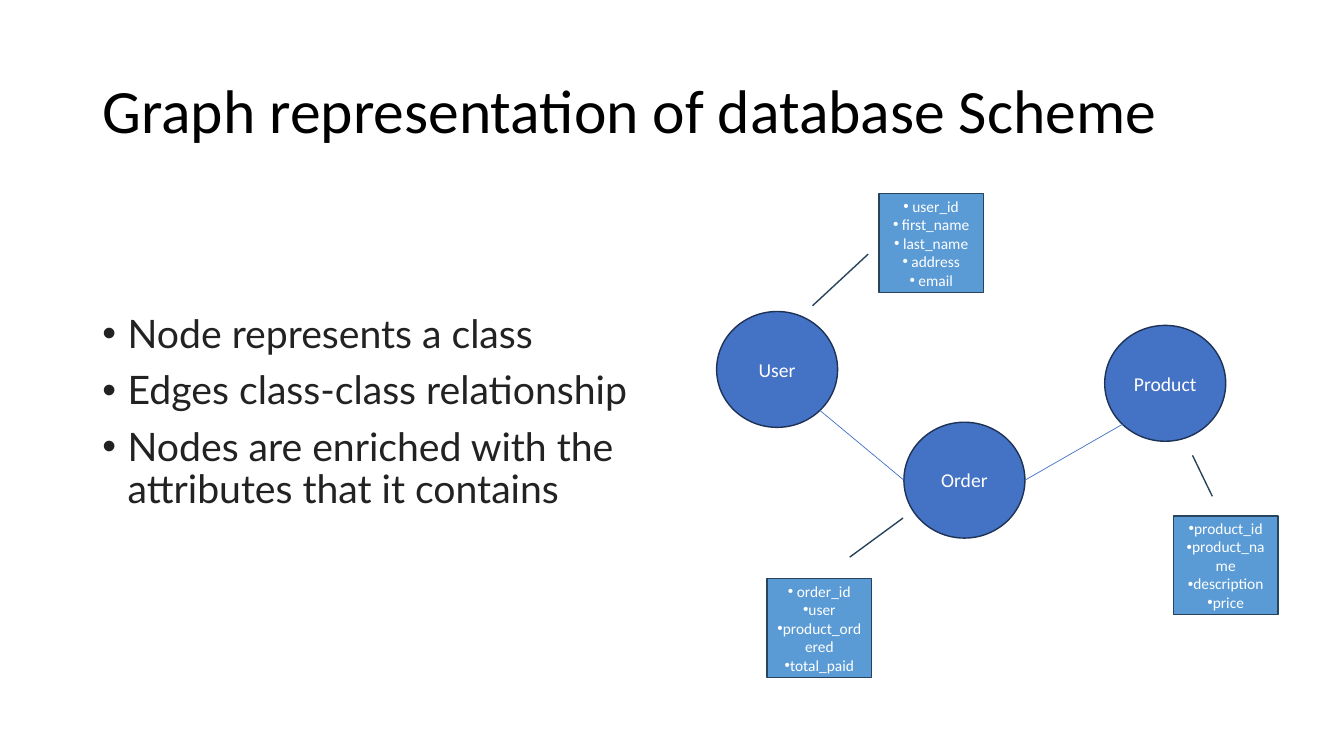
"""Build the slide showing a database scheme as a graph of classes and attributes."""
from math import cos, radians, sin

from lxml import etree
from pptx import Presentation
from pptx.dml.color import RGBColor
from pptx.enum.shapes import MSO_CONNECTOR, MSO_SHAPE
from pptx.enum.text import MSO_ANCHOR, PP_ALIGN
from pptx.oxml.ns import qn
from pptx.util import Cm, Pt

COLORS = {
    "title": "000000", "body": "222222", "label": "FFFFFF",
    "node": "4472C4", "node_line": "1E3256",
    "attributes": "5B9BD5", "attributes_line": "28445D",
}
TITLE = "Graph representation of database Scheme"
POINTS = [
    "Node represents a class",
    "Edges class-class relationship",
    "Nodes are enriched with the attributes that it contains",
]
NODES = {"User": (18.06, 7.85), "Product": (27.84, 8.2), "Order": (22.78, 10.64)}
EDGES = [("User", 45, "Order", 180), ("Product", 135, "Order", 0)]
ATTRIBUTES = [
    ((22.15, 4.88), (0.612, -0.102, 1.135, -0.634),
     [" user_id", " first_name", " last_name", " address", " email"]),
    ((19.33, 14.58), (-0.217, 0.79, -0.613, 1.299),
     [" order_id", "user", "product_ordered", "total_paid"]),
    ((29.57, 13.0), (-0.198, 0.372, -0.613, 0.183),
     ["product_id", "product_name", "description", "price"]),
]
NODE_SIZE = (3.05, 2.92)
ATTRIBUTES_SIZE = (2.64, 2.49)
HANGING = Cm(0.64)


def color(name):
    return RGBColor.from_string(COLORS[name])


def write(shape, lines, size, font, ink, align, bullet=False, hanging=0, spacing=None, before=0):
    frame = shape.text_frame
    frame.word_wrap = True
    frame.vertical_anchor = MSO_ANCHOR.MIDDLE
    for index, line in enumerate(lines):
        paragraph = frame.add_paragraph() if index else frame.paragraphs[0]
        paragraph.alignment = align
        paragraph.space_before = Pt(before)
        if spacing:
            paragraph.line_spacing = spacing
        if bullet:
            properties = paragraph._p.get_or_add_pPr()
            properties.set("marL", str(int(hanging)))
            properties.set("indent", str(-int(hanging)))
            etree.SubElement(properties, qn("a:buFont")).set("typeface", "Arial")
            etree.SubElement(properties, qn("a:buChar")).set("char", "•")
        run = paragraph.add_run()
        run.text = line
        run.font.size = Pt(size)
        run.font.name = font
        run.font.color.rgb = color(ink)


def add_filled(slide, kind, position, size, fill):
    shape = slide.shapes.add_shape(kind, *map(Cm, position + size))
    shape.shadow.inherit = False
    shape.fill.solid()
    shape.fill.fore_color.rgb = color(fill)
    shape.line.color.rgb = color(fill + "_line")
    shape.line.width = Pt(1)
    return shape


def rim_point(node, angle):
    return [Cm(start + length / 2 * (1 + turn(radians(angle))))
            for start, length, turn in zip(NODES[node], NODE_SIZE, (cos, sin))]


def main():
    deck = Presentation()
    deck.slide_width, deck.slide_height = Cm(33.87), Cm(19.05)
    slide = deck.slides.add_slide(deck.slide_layouts[6])

    title = slide.shapes.add_textbox(Cm(2.33), Cm(1.02), Cm(29.21), Cm(3.68))
    write(title, [TITLE], 44, "Calibri", "title", PP_ALIGN.LEFT, spacing=0.9)
    body = slide.shapes.add_textbox(Cm(2.33), Cm(5.08), Cm(14.4), Cm(12.09))
    body.text_frame.margin_bottom = Cm(1.55)
    write(body, POINTS, 28, "Lato", "body", PP_ALIGN.LEFT,
          bullet=True, hanging=HANGING, spacing=0.9, before=10)

    for name, position in NODES.items():
        node = add_filled(slide, MSO_SHAPE.OVAL, position, NODE_SIZE, "node")
        write(node, [name], 14, "Calibri", "label", PP_ALIGN.CENTER)

    for start, start_angle, end, end_angle in EDGES:
        edge = slide.shapes.add_connector(
            MSO_CONNECTOR.STRAIGHT, *rim_point(start, start_angle), *rim_point(end, end_angle))
        edge.line.color.rgb = color("node")
        edge.line.width = Pt(0.5)
        etree.SubElement(edge._element.spPr, qn("a:effectLst"))

    for position, pointer, names in ATTRIBUTES:
        callout = add_filled(
            slide, MSO_SHAPE.LINE_CALLOUT_1, position, ATTRIBUTES_SIZE, "attributes")
        for index, value in enumerate(pointer):
            callout.adjustments[index] = value
        write(callout, names, 11, "Calibri", "label", PP_ALIGN.CENTER, bullet=True)

    deck.save("out.pptx")


main()
